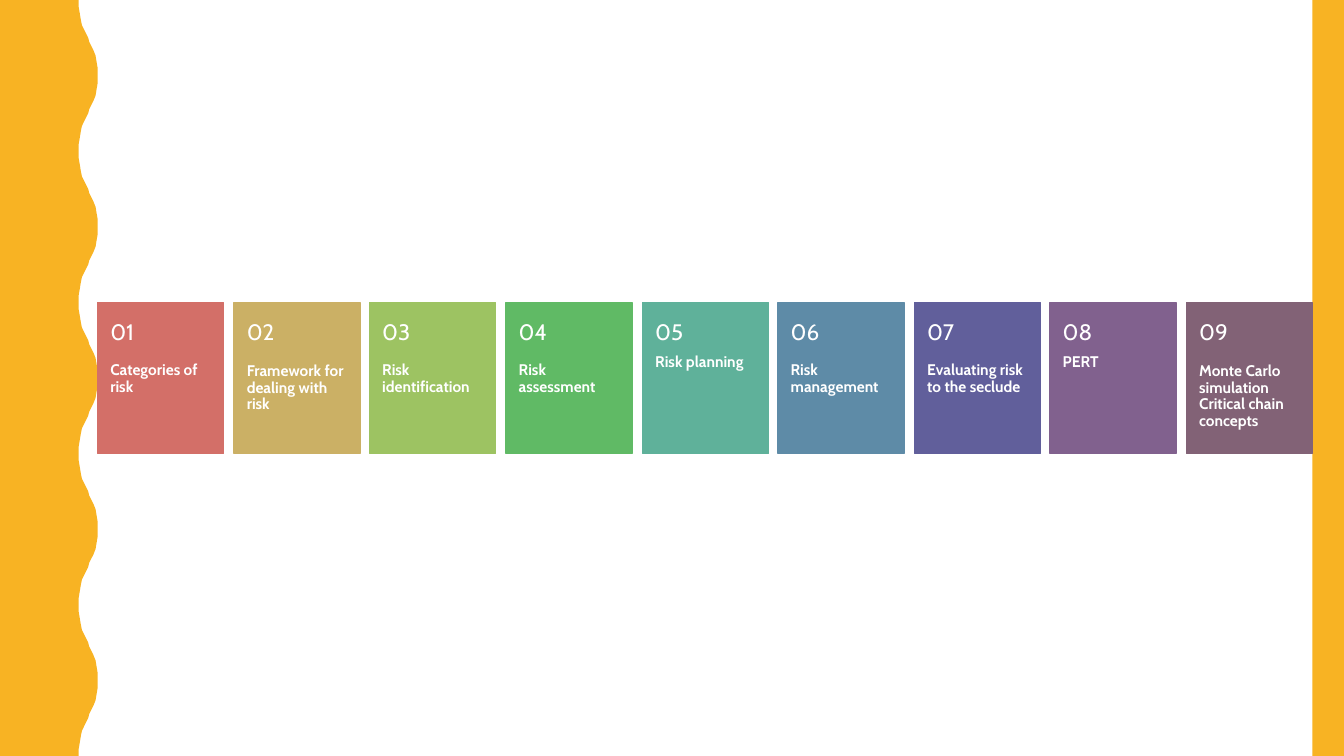
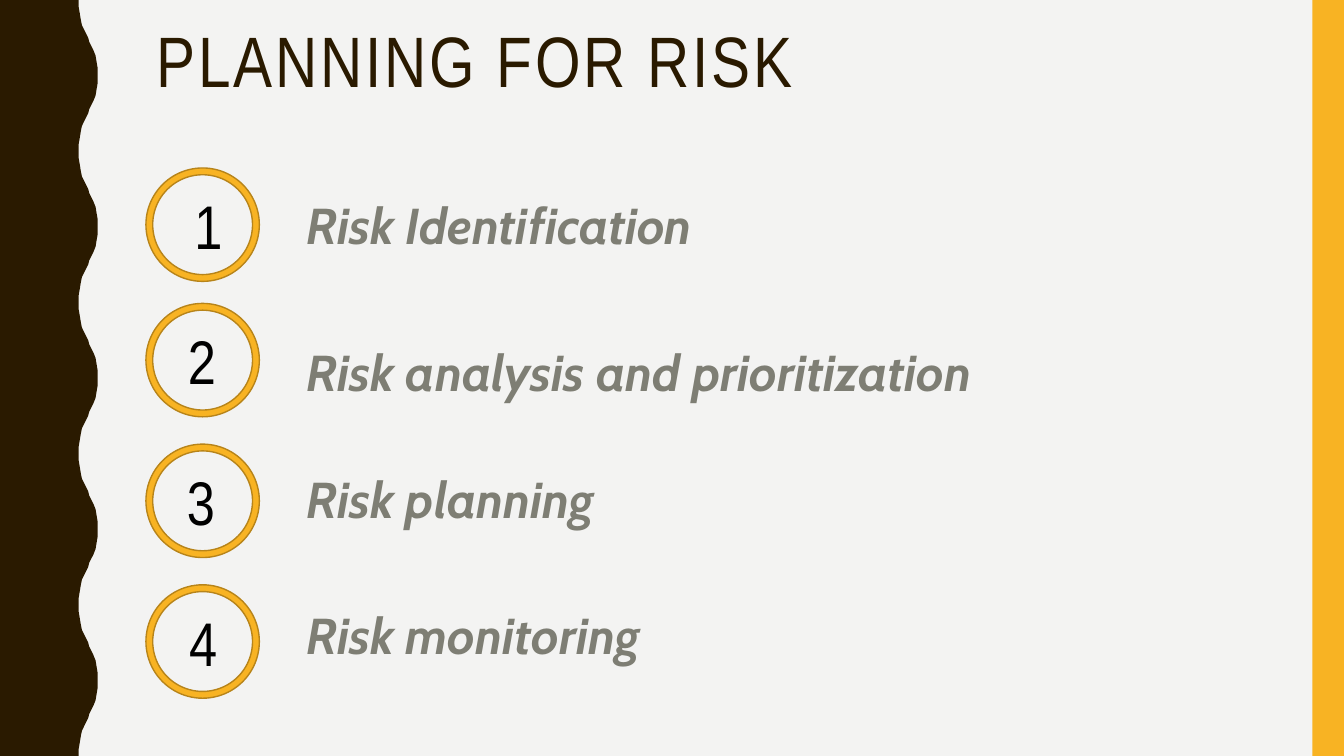
from dataclasses import dataclass

from pptx import Presentation
from pptx import util as u
from pptx.dml import color
from pptx.enum import shapes, text

# Shared measures, colours and fonts
PX = 9525
SLIDE_WIDTH, SLIDE_HEIGHT = 1280, 720
STRIP_LEFT = 1250
WAVE_RIGHT = 93
WAVE_PERIOD = 144
# Half a wave, from trough to crest, as (x, y)
HALF_WAVE = [(75, 0), (75, 7), (76, 13), (77, 19), (78, 24), (80, 28),
             (82, 32), (84, 36), (85, 40), (87, 44), (89, 48), (91, 53),
             (92, 59), (93, 65), (93, 72)]

WHITE, PALE, BLACK = "FFFFFF", "F3F3F2", "000000"
AMBER, DARK_AMBER, BROWN, GREY = "F8B323", "B7841A", "2A1A00", "7E7E74"
HEADING_FONT, BODY_FONT = "Arial Narrow", "Cabin"


@dataclass(frozen=True)
class Card:
    topic: str
    fill: str


@dataclass(frozen=True)
class Step:
    label: str
    label_top: int
    ring_top: int
    number_left: int


CARDS = [
    Card("Categories of risk", "D36F68"),
    Card("Framework for dealing with risk", "CBB065"),
    Card("Risk identification", "9DC362"),
    Card("Risk assessment", "60BA65"),
    Card("Risk planning", "5FB19A"),
    Card("Risk management", "5E8BA7"),
    Card("Evaluating risk to the seclude", "615F9B"),
    Card("PERT", "81618E"),
    Card("Monte Carlo simulation Critical chain concepts", "826276"),
]

STEPS = [
    Step("Risk Identification", 180, 160, 175),
    Step("Risk analysis and prioritization", 320, 289, 169),
    Step("Risk planning", 441, 423, 168),
    Step("Risk monitoring", 570, 557, 170),
]


# Drawing helpers
def px(length: int) -> u.Emu:
    return u.Emu(length * PX)


def rgb(value: str) -> color.RGBColor:
    return color.RGBColor.from_string(value)


def paint(shape, fill: str, line: str | None = None) -> None:
    shape.shadow.inherit = False
    shape.fill.solid()
    shape.fill.fore_color.rgb = rgb(fill)
    if line is None:
        shape.line.fill.background()
    else:
        shape.line.color.rgb = rgb(line)
        shape.line.width = u.Pt(1)


def add_shape(slide, kind, left: int, top: int, width: int, height: int,
              fill: str, line: str | None = None):
    shape = slide.shapes.add_shape(kind, px(left), px(top), px(width), px(height))
    paint(shape, fill, line)
    return shape


def add_text(slide, content: str, left: int, top: int, width: int, height: int, *,
             size: int, font: str, fill: str, bold: bool = False,
             italic: bool = False, line_spacing: float = 1.0,
             letter_spacing: int = 0, middle: bool = False,
             insets: tuple[int, int, int, int] = (10, 5, 10, 5)) -> None:
    """Insets run left, top, right, bottom; letter spacing is in points."""
    box = slide.shapes.add_textbox(px(left), px(top), px(width), px(height))
    frame = box.text_frame
    frame.word_wrap = True
    frame.vertical_anchor = text.MSO_ANCHOR.MIDDLE if middle else text.MSO_ANCHOR.TOP
    (frame.margin_left, frame.margin_top,
     frame.margin_right, frame.margin_bottom) = map(px, insets)
    paragraph = frame.paragraphs[0]
    paragraph.line_spacing = line_spacing
    run = paragraph.add_run()
    run.text = content
    run.font.size = u.Pt(size)
    run.font.name = font
    run.font.bold = bold
    run.font.italic = italic
    run.font.color.rgb = rgb(fill)
    if letter_spacing:
        run._r.get_or_add_rPr().set("spc", str(letter_spacing * 100))


def add_wave(slide, fill: str) -> None:
    period = HALF_WAVE + [(x, WAVE_PERIOD - y) for x, y in reversed(HALF_WAVE[:-1])]
    edge = [(x, y + top) for top in range(0, SLIDE_HEIGHT, WAVE_PERIOD)
            for x, y in period]
    builder = slide.shapes.build_freeform(0, 0, scale=PX)
    builder.add_line_segments(edge + [(0, SLIDE_HEIGHT)], close=True)
    paint(builder.convert_to_shape(), fill)


def add_slide(presentation, background: str, wave: str):
    slide = presentation.slides.add_slide(presentation.slide_layouts[6])
    slide.background.fill.solid()
    slide.background.fill.fore_color.rgb = rgb(background)
    add_wave(slide, wave)
    add_shape(slide, shapes.MSO_SHAPE.RECTANGLE, STRIP_LEFT, 0,
              SLIDE_WIDTH - STRIP_LEFT, SLIDE_HEIGHT, AMBER)
    return slide


# Slide 1: a row of numbered topic cards
def build_topics(presentation) -> None:
    slide = add_slide(presentation, WHITE, AMBER)
    top, width, height, header = 288, 120, 144, 58
    pitch = (STRIP_LEFT - WAVE_RIGHT - width) / (len(CARDS) - 1)
    style = dict(font=BODY_FONT, fill=WHITE, line_spacing=0.9)
    for index, card in enumerate(CARDS):
        left = round(WAVE_RIGHT + index * pitch)
        add_shape(slide, shapes.MSO_SHAPE.RECTANGLE, left, top, width, height,
                  card.fill, card.fill)
        add_text(slide, card.topic, left, top + header, width, height - header,
                 size=11, bold=True, insets=(12, 0, 12, 34), **style)
        add_text(slide, f"{index + 1:02}", left, top, width, header,
                 size=16, middle=True, insets=(12, 17, 12, 17), **style)


# Slide 2: numbered planning steps
def build_planning(presentation) -> None:
    slide = add_slide(presentation, PALE, BROWN)
    left, ring_size = 139, 108
    add_text(slide, "PLANNING FOR RISK", left, 20, 1068, 156, size=51,
             font=HEADING_FONT, fill=BROWN, line_spacing=0.9, letter_spacing=2)
    for number, step in enumerate(STEPS, start=1):
        ring = add_shape(slide, shapes.MSO_SHAPE.DONUT, left, step.ring_top,
                         ring_size, ring_size, AMBER, DARK_AMBER)
        ring.adjustments[0] = 0.06
        add_text(slide, str(number), step.number_left, step.ring_top + 14, 50, 80,
                 size=44, font=HEADING_FONT, fill=BLACK)
        add_text(slide, step.label, 282, step.label_top, 700, 68, size=36,
                 font=BODY_FONT, fill=GREY, bold=True, italic=True)


def main() -> None:
    presentation = Presentation()
    presentation.slide_width = px(SLIDE_WIDTH)
    presentation.slide_height = px(SLIDE_HEIGHT)
    build_topics(presentation)
    build_planning(presentation)
    presentation.save("out.pptx")


if __name__ == "__main__":
    main()
